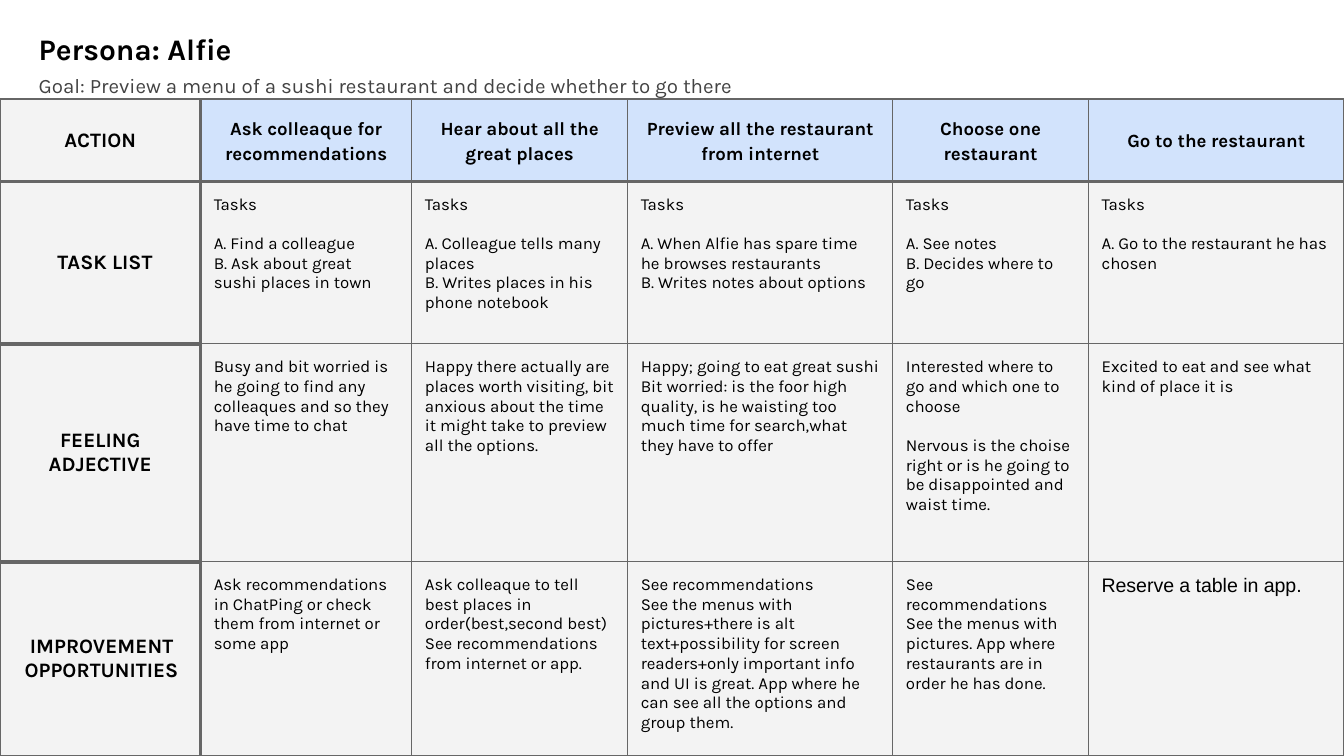
"""Build a customer journey table for the persona Alfie."""
from lxml import etree
from pptx import Presentation
from pptx import util as u
from pptx.dml import color
from pptx.enum import text
from pptx.oxml import ns


def paint(fill, value):
    fill.solid()
    fill.fore_color.rgb = color.RGBColor.from_string(value)


def style(para, size, bold=False, value="000000", name="Karla"):
    para.font.size = u.Pt(size)
    para.font.bold = bold
    para.font.name = name
    paint(para.font.fill, value)


INSET = u.Cm(0.25)
BORDER = "666666"
WIDTHS = [3.79, 3.99, 4.08, 5.01, 3.7, 4.83]
HEIGHTS = [1.56, 3.07, 4.12, 3.66]
ROWS = [
    ["ACTION",
     "Ask colleaque for recommendations",
     "Hear about all the great places",
     "Preview all the restaurant from internet",
     "Choose one restaurant",
     "Go to the restaurant"],
    ["TASK LIST",
     "Tasks\n\nA. Find a colleague\nB. Ask about great sushi places in town",
     "Tasks\n\nA. Colleague tells many places\nB. Writes places in his phone notebook",
     "Tasks\n\nA. When Alfie has spare time he browses restaurants\nB. Writes notes about options",
     "Tasks\n\nA. See notes\nB. Decides where to go",
     "Tasks\n\nA. Go to the restaurant he has chosen"],
    ["FEELING ADJECTIVE",
     "Busy and bit worried is he going to find any colleaques and so they have time to chat",
     "Happy there actually are places worth visiting, bit anxious about the time it might take "
     "to preview all the options.",
     "Happy; going to eat great sushi\nBit worried: is the foor high quality, is he waisting "
     "too much time for search,what they have to offer",
     "Interested where to go and which one to choose\n\nNervous is the choise right or is he "
     "going to be disappointed and waist time.",
     "Excited to eat and see what kind of place it is"],
    ["IMPROVEMENT OPPORTUNITIES",
     "Ask recommendations in ChatPing or check them from internet or some app",
     "Ask colleaque to tell best places in order(best,second best) See recommendations from "
     "internet or app.",
     "See recommendations\nSee the menus with pictures+there is alt text+possibility for screen "
     "readers+only important info and UI is great. App where he can see all the options and "
     "group them.",
     "See recommendations\nSee the menus with pictures. App where restaurants are in order he "
     "has done.",
     "Reserve a table in app."],
]

deck = Presentation()
deck.slide_width, deck.slide_height = u.Cm(25.4), u.Cm(14.29)
page = deck.slides.add_slide(deck.slide_layouts[6])

for words, top, width, height, size, bold, value in [
    ("Persona: Alfie", 0.33, 4.95, 1.12, 16, True, "000000"),
    ("Goal: Preview a menu of a sushi restaurant and decide whether to go there",
     1.14, 23.58, 0.76, 11, False, "434343"),
]:
    box = page.shapes.add_textbox(u.Cm(0.48), u.Cm(top), u.Cm(width), u.Cm(height))
    frame = box.text_frame
    frame.word_wrap = True
    frame.margin_left = frame.margin_right = INSET
    frame.margin_top = frame.margin_bottom = INSET
    frame.text = words
    style(frame.paragraphs[0], size, bold, value)

table = page.shapes.add_table(
    len(HEIGHTS), len(WIDTHS), 0, u.Cm(1.87), u.Cm(sum(WIDTHS)), u.Cm(sum(HEIGHTS))).table
table.first_row = table.horz_banding = False
for column, width in zip(table.columns, WIDTHS):
    column.width = u.Cm(width)
for row, height in zip(table.rows, HEIGHTS):
    row.height = u.Cm(height)

for r, entries in enumerate(ROWS):
    for c, words in enumerate(entries):
        cell = table.cell(r, c)
        heading = r == 0 or c == 0
        cell.margin_left = cell.margin_right = INSET
        cell.margin_top = cell.margin_bottom = INSET
        cell.vertical_anchor = text.MSO_ANCHOR.MIDDLE if heading else text.MSO_ANCHOR.TOP

        heavy = {
            "L": c == 1,
            "R": c == 0,
            "T": r == 1 or (c == 0 and r > 0),
            "B": r == 0 or (c == 0 and r < len(ROWS) - 1),
        }
        properties = cell._tc.get_or_add_tcPr()
        for side, thick in heavy.items():
            line = etree.SubElement(properties, ns.qn(f"a:ln{side}"),
                                    w=str(u.Pt(2.25 if thick else 0.75)))
            solid = etree.SubElement(line, ns.qn("a:solidFill"))
            etree.SubElement(solid, ns.qn("a:srgbClr"), val=BORDER)
        paint(cell.fill, "D2E3FC" if r == 0 and c > 0 else "F3F3F3")

        blocks = words.split("\n\n")
        cell.text_frame.text = "\n".join(blocks)
        size = 11 if c == 0 else 10 if r == 0 else 9
        for para in cell.text_frame.paragraphs:
            style(para, size, heading)
            if heading:
                para.alignment = text.PP_ALIGN.CENTER
            if r == 0 and c > 0:
                para.line_spacing = 1.15
        if len(blocks) > 1:
            cell.text_frame.paragraphs[0].space_after = u.Pt(10.5)

task_format = table.cell(1, 0).text_frame.paragraphs[0]._p.get_or_add_pPr()
task_format.set("marL", str(u.Cm(0.48)))
task_format.set("indent", str(u.Cm(-0.3)))
table.cell(3, 0).margin_left = u.Cm(0.3)
style(table.cell(3, 5).text_frame.paragraphs[0], 10.5, name="Arial")

deck.save("out.pptx")
